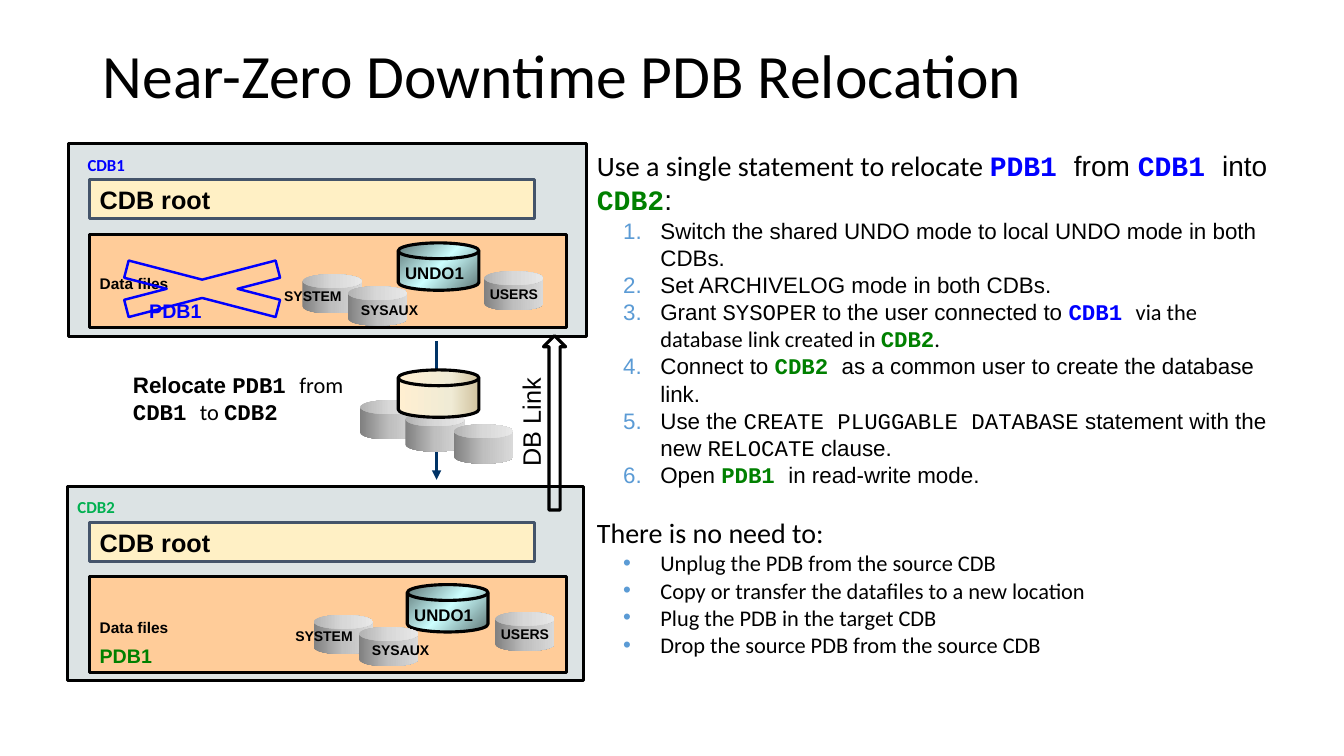
import copy
import pptx
import pptx.util
import pptx.dml.color
import pptx.enum.shapes
import pptx.enum.text
import pptx.oxml
import pptx.oxml.ns

RGB = pptx.dml.color.RGBColor
KIND = pptx.enum.shapes.MSO_SHAPE
ANCHOR = pptx.enum.text.MSO_ANCHOR
FIT = pptx.enum.text.MSO_AUTO_SIZE
LEFT = pptx.enum.text.PP_ALIGN.LEFT
Pt = pptx.util.Pt
qn = pptx.oxml.ns.qn

BLACK = RGB(0x00, 0x00, 0x00)
BLUE = RGB(0x00, 0x00, 0xFF)
GREEN = RGB(0x00, 0x80, 0x00)
LIME = RGB(0x00, 0xB0, 0x50)
NAVY = RGB(0x00, 0x33, 0x66)
SLATE = RGB(0x44, 0x54, 0x6A)
SKY = RGB(0x5B, 0x9B, 0xD5)
MIST = RGB(0xDC, 0xE3, 0xE4)
PEACH = RGB(0xFF, 0xCC, 0x99)
CREAM = RGB(0xFF, 0xF0, 0xC5)
GREY = [(0, RGB(0x80, 0x80, 0x80)), (0.5, RGB(0xBF, 0xBF, 0xBF)), (1, RGB(0xD9, 0xD9, 0xD9))]
TEAL = [(0, RGB(0x5E, 0x76, 0x76)), (0.5, RGB(0xCC, 0xFF, 0xFF)), (1, RGB(0x5E, 0x76, 0x76))]
SAND = [(0, RGB(0xFF, 0xEF, 0xD1)), (0.65, RGB(0xF0, 0xEB, 0xD5)), (1, RGB(0xD1, 0xC3, 0x9F))]

SANS = ("Arial", BLACK, False)
BOLD = ("Arial", BLACK, True)
BODY = ("Calibri", BLACK, False)
CODE = ("Courier New", BLACK, False)
KEY = ("Courier New", BLACK, True)
FROM = ("Courier New", BLUE, True)
INTO = ("Courier New", GREEN, True)

NUMBER = '<a:buAutoNum %s type="arabicPeriod"/>'
BULLET = '<a:buChar %s char="•"/>'
NONE = "<a:buNone %s/>"
INTRO = [("Use a single statement to relocate ", BODY), ("PDB1 ", FROM), ("from ", SANS),
         ("CDB1 ", FROM), ("into ", SANS), ("CDB2", INTO), (":", SANS)]
STEPS = [
    [("Switch the shared UNDO mode to local UNDO mode in both CDBs.", SANS)],
    [("Set ARCHIVELOG mode in both CDBs.", SANS)],
    [("Grant ", SANS), ("SYSOPER", CODE), (" to the user connected to ", SANS), ("CDB1 ", FROM),
     ("via the database link created in ", BODY), ("CDB2", INTO), (".", BODY)],
    [("Connect to ", SANS), ("CDB2 ", INTO),
     ("as a common user to create the database link.", SANS)],
    [("Use the ", SANS), ("CREATE PLUGGABLE DATABASE", CODE), (" statement with the new ", SANS),
     ("RELOCATE", CODE), (" clause.", SANS)],
    [("Open ", SANS), ("PDB1 ", INTO), ("in read-write mode.", SANS)],
]
SKIPS = ["Unplug the PDB from the source CDB", "Copy or transfer the datafiles to a new location",
         "Plug the PDB in the target CDB", "Drop the source PDB from the source CDB"]


def px(*nums):
    """Turn hundredths of an inch into EMU."""
    return [pptx.util.Emu(num * 9144) for num in nums]


def assign(obj, vals):
    for key, val in vals.items():
        setattr(obj, key, val)


class Board:
    def __init__(self, deck):
        self.slide = deck.slides.add_slide(deck.slide_layouts[1])
        self.shapes = self.slide.shapes

    def pen(self, par, runs, size, **form):
        """Add styled runs to a paragraph."""
        assign(par, {"alignment": LEFT, "space_before": Pt(0), **form})
        for text, (face, tint, bold) in runs:
            run = par.add_run()
            run.text = text
            assign(run.font, {"name": face, "size": Pt(size), "bold": bold})
            run.font.color.rgb = tint

    def title(self, box, text):
        item = self.shapes.title
        assign(item, dict(zip(("left", "top", "width", "height"), px(*box))))
        assign(item.text_frame, {"vertical_anchor": ANCHOR.TOP, "auto_size": FIT.NONE})
        self.pen(item.text_frame.paragraphs[0], [(text, BODY)], 44, line_spacing=0.9)

    def body(self, box, rows):
        item = self.slide.placeholders[1]
        assign(item, dict(zip(("left", "top", "width", "height"), px(*box))))
        frame = item.text_frame
        frame.auto_size = FIT.NONE
        names = pptx.oxml.ns.nsdecls("a")
        for num, (runs, mark, gap) in enumerate(rows):
            par = frame.add_paragraph() if num else frame.paragraphs[0]
            head = mark == NONE
            self.pen(par, runs, 20 if head else 16, level=0 if head else 1,
                     space_before=Pt(gap), line_spacing=Pt(24.4 if head else 19.4))
            props = par._p.get_or_add_pPr()
            left, dent = px(0, 0) if head else px(63, -37)
            props.set("marL", str(left))
            props.set("indent", str(dent))
            if not head:
                props.append(pptx.oxml.parse_xml(
                    f'<a:buClr {names}><a:srgbClr val="{SKY}"/></a:buClr>'))
            props.append(pptx.oxml.parse_xml(mark % names))

    def text(self, box, runs, size, wrap=True, turn=0, inset=5, **form):
        item = self.shapes.add_textbox(*px(*box))
        item.rotation = turn
        assign(item.text_frame, {"word_wrap": wrap, "auto_size": FIT.SHAPE_TO_FIT_TEXT,
                                 "margin_top": px(inset)[0]})
        self.pen(item.text_frame.paragraphs[0], runs, size, **form)

    def shape(self, kind, box, fill=None, line=None, width=2.25, angle=0):
        """Draw a preset shape; a list as fill means gradient stops."""
        item = self.shapes.add_shape(kind, *px(*box))
        item.shadow.inherit = False
        if fill is None:
            item.fill.background()
        elif isinstance(fill, list):
            item.fill.gradient()
            item.fill.gradient_angle = angle
            stops = item._element.spPr.find(".//" + qn("a:gsLst"))
            stops.append(copy.deepcopy(stops[0]))
            for stop, (place, tint) in zip(item.fill.gradient_stops, fill):
                stop.position = place
                stop.color.rgb = tint
        else:
            item.fill.solid()
            item.fill.fore_color.rgb = fill
        if line is None:
            item.line.fill.background()
        else:
            item.line.color.rgb = line
            item.line.width = Pt(width)
        return item

    def label(self, item, runs, size, anchor, inset=10):
        assign(item.text_frame, {"vertical_anchor": anchor, "word_wrap": False,
                                 "margin_left": px(inset)[0]})
        self.pen(item.text_frame.paragraphs[0], runs, size)

    def arrow(self, start, end, tint):
        """Draw a line with its arrowhead at the start."""
        item = self.shapes.add_connector(pptx.enum.shapes.MSO_CONNECTOR.STRAIGHT,
                                         *px(*start, *end))
        item.line.color.rgb = tint
        item.line.width = Pt(2.25)
        props = item._element.spPr
        line = props.find(qn("a:ln"))
        line.append(line.makeelement(qn("a:headEnd"), {"type": "triangle"}))
        props.append(props.makeelement(qn("a:effectLst"), {}))

    def can(self, x, y):
        self.shape(KIND.CAN, (x, y, 59, 39), GREY).adjustments[0] = 0.356

    def disk(self, x, y, fill, angle=0):
        self.shape(KIND.FLOWCHART_MAGNETIC_DISK, (x, y, 80, 47), fill, BLACK, angle=angle)

    def base(self, frame, name, tag, root, store, pdb, inset, files, undo, cans):
        """Draw one container database with its root, PDB and data files."""
        self.shape(KIND.RECTANGLE, frame, MIST, BLACK)
        self.text((*tag, 127, 26), [name], 12, line_spacing=0.8)
        item = self.shape(KIND.RECTANGLE, store, PEACH, BLACK)
        self.label(item, [pdb], 14, ANCHOR.BOTTOM, inset)
        self.text((89, files, 322, 29), [("Data files", BOLD)], 11)
        item = self.shape(KIND.RECTANGLE, (89, root, 441, 39), CREAM, SLATE)
        self.label(item, [("CDB root", BOLD)], 18, ANCHOR.TOP)
        x, y = undo
        self.disk(x, y, TEAL, 315)
        self.text((x - 3, y + 15, 106, 30), [("UNDO1", BOLD)], 12)
        x, y = cans
        for dx, dy in ((0, 0), (45, 12), (180, -3)):
            self.can(x + dx, y + dy)
        for word, dx, dy in (("SYSAUX", 48, 22), ("SYSTEM", -28, 8), ("USERS", 176, 6)):
            self.text((x + dx, y + dy, 122, 27), [(word, BOLD)], 10)


def main():
    deck = pptx.Presentation()
    deck.slide_width, deck.slide_height = px(1333, 750)
    board = Board(deck)
    board.title((92, 40, 1150, 145), "Near-Zero Downtime PDB Relocation")
    board.body((582, 142, 699, 515),
               [(INTRO, NONE, 0)] + [(step, NUMBER, 0) for step in STEPS]
               + [([("There is no need to:", BODY)], NONE, 19.4)]
               + [([(skip, BODY)], BULLET, 0) for skip in SKIPS])
    board.base(frame=(68, 142, 514, 192), name=("CDB1", ("Calibri", BLUE, True)),
               tag=(77, 152), root=178, store=(89, 233, 473, 92),
               pdb=("PDB1", ("Arial", BLUE, True)), inset=59, files=267,
               undo=(395, 241), cans=(300, 272))
    board.base(frame=(67, 483, 512, 192), name=("CDB2", ("Calibri", LIME, True)),
               tag=(67, 492), root=518, store=(89, 572, 473, 95),
               pdb=("PDB1", ("Arial", GREEN, True)), inset=10, files=608,
               undo=(404, 580), cans=(311, 610))
    board.shape(KIND.MATH_MULTIPLY, (56, 249, 289, 75), line=BLUE, width=1.75)
    board.text((122, 368, 229, 59),
               [("Relocate ", BOLD), ("PDB1 ", KEY), ("from", BODY), (" CDB1 ", KEY),
                ("to ", BODY), ("CDB2", KEY)], 16, inset=0)
    board.arrow((433, 476), (433, 338), NAVY)
    board.text((472, 398, 109, 40), [("DB Link", SANS)], 18, wrap=False, turn=270)
    board.shape(KIND.UP_ARROW, (539, 333, 22, 173), line=BLACK)
    for x, y in ((357, 397), (402, 409), (450, 421)):
        board.can(x, y)
    board.disk(395, 367, SAND)
    deck.save("out.pptx")


if __name__ == "__main__":
    main()
